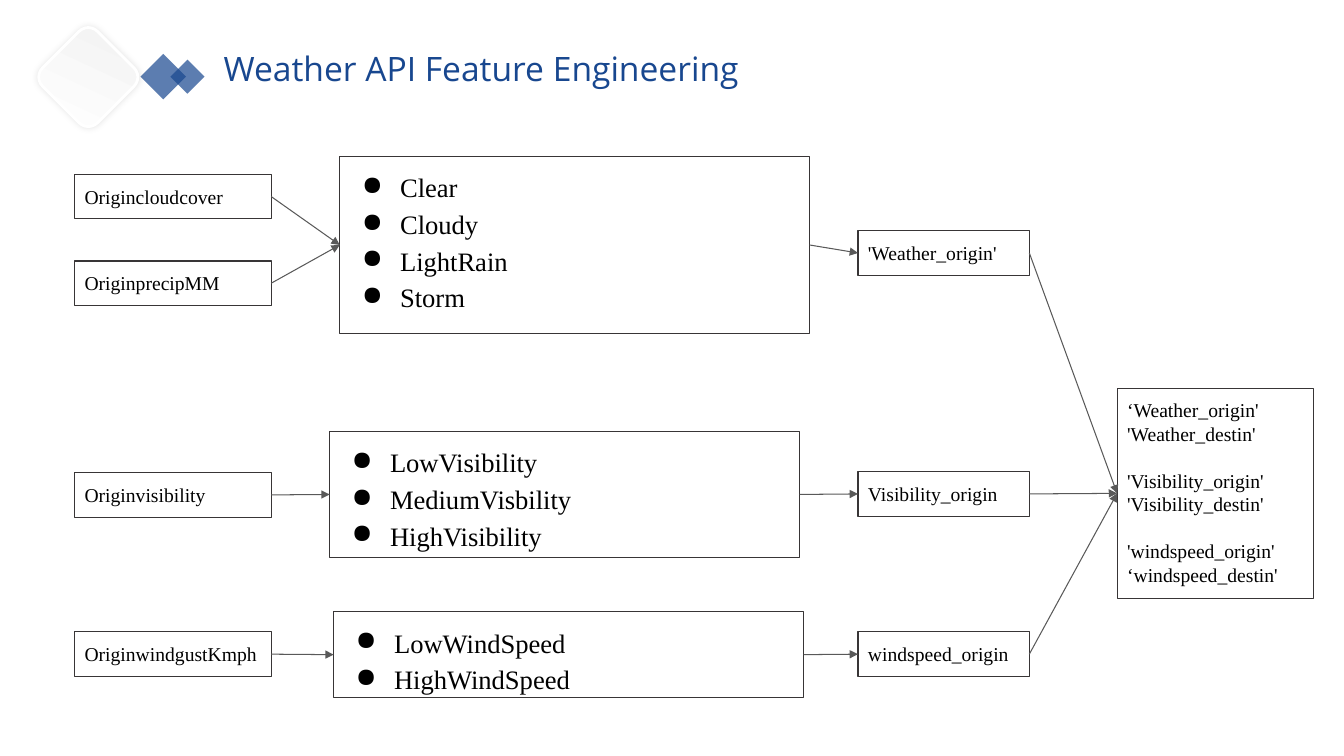
"""Build the weather feature engineering flow slide."""
from dataclasses import dataclass
from typing import Any

import pptx
import pptx.dml.color
import pptx.enum.shapes
import pptx.enum.text
import pptx.oxml
import pptx.oxml.ns
import pptx.util

COLORS = {"blue": "18478F", "box": "383536", "arrow": "595959",
          "text": "000000", "white": "FFFFFF", "grey": "F2F2F2"}
WIDTH, HEIGHT = pptx.util.Inches(13.33), pptx.util.Inches(7.5)
COLS = ROWS = 100
SERIF = "Times New Roman"
SHAPE = pptx.enum.shapes.MSO_SHAPE
INPUT_COL, OUTPUT_COL, FINAL_COL = 5.55, 63.84, 83.12
INPUT_W, CLASS_W, OUTPUT_W = 14.63, 34.96, 12.75
LABEL_H = 5.87


@dataclass(frozen=True)
class Area:
    col: float
    row: float
    cols: float
    rows: float

    def emu(self) -> tuple[int, int, int, int]:
        return (round(WIDTH * self.col / COLS), round(HEIGHT * self.row / ROWS),
                round(WIDTH * self.cols / COLS), round(HEIGHT * self.rows / ROWS))


@dataclass(frozen=True)
class Label:
    text: str
    row: float


@dataclass(frozen=True)
class Flow:
    inputs: tuple[Label, ...]
    classes: tuple[str, ...]
    area: Area
    output: Label


@dataclass(frozen=True)
class Diamond:
    area: Area
    rotation: float


FLOWS = (
    Flow((Label("Origincloudcover", 23.07), Label("OriginprecipMM", 34.53)),
         ("Clear", "Cloudy", "LightRain", "Storm"),
         Area(25.28, 20.67, CLASS_W, 23.47), Label("'Weather_origin'", 30.53)),
    Flow((Label("Originvisibility", 62.53),),
         ("LowVisibility", "MediumVisbility", "HighVisibility"),
         Area(24.53, 57.07, CLASS_W, 16.67), Label("Visibility_origin", 62.4)),
    Flow((Label("OriginwindgustKmph", 83.6),),
         ("LowWindSpeed", "HighWindSpeed"),
         Area(24.83, 80.93, CLASS_W, 11.33), Label("windspeed_origin", 83.6)),
)
FEATURES = ("‘Weather_origin' 'Weather_destin'",
            "'Visibility_origin' 'Visibility_destin'",
            "'windspeed_origin'", "‘windspeed_destin'")
GROUP_STARTS = (1, 2)
DIAMONDS = (Diamond(Area(10.95, 8, 2.4, 4.27), 225),
            Diamond(Area(13.05, 8.53, 1.8, 3.2), 225))
TILE = Diamond(Area(3.68, 5.07, 5.78, 10.27), 45)


def rgb(name: str) -> pptx.dml.color.RGBColor:
    return pptx.dml.color.RGBColor.from_string(COLORS[name])


def add_xml(parent: Any, xml: str) -> None:
    tag, rest = xml[1:].split(" ", 1)
    parent.append(pptx.oxml.parse_xml(f"<{tag} {pptx.oxml.ns.nsdecls('a')} {rest}"))


def write(sp: Any, lines: tuple[str, ...], *, size: float = 14, font: str = SERIF,
          color: str = "text", bullets: bool = False, inset: float = 0.1,
          gaps: tuple[int, ...] = (), grow: bool = False) -> None:
    tf = sp.text_frame
    tf.word_wrap = True
    tf.vertical_anchor = pptx.enum.text.MSO_ANCHOR.TOP
    tf.margin_left = tf.margin_right = pptx.util.Inches(0.1)
    tf.margin_top = tf.margin_bottom = pptx.util.Inches(inset)
    if grow:
        tf.auto_size = pptx.enum.text.MSO_AUTO_SIZE.SHAPE_TO_FIT_TEXT
    for i, line in enumerate(lines):
        p = tf.add_paragraph() if i else tf.paragraphs[0]
        p.alignment = pptx.enum.text.PP_ALIGN.LEFT
        if i in gaps:
            p.space_before = pptx.util.Pt(size * 1.2)
        if bullets:
            p.line_spacing = 1.15
            pPr = p._p.get_or_add_pPr()
            pPr.set("marL", str(pptx.util.Inches(0.5)))
            pPr.set("indent", str(pptx.util.Inches(-0.38)))
            add_xml(pPr, f'<a:buClr ><a:srgbClr val="{COLORS[color]}"/></a:buClr>')
            add_xml(pPr, '<a:buChar char="●"/>')
        r = p.add_run()
        r.text = line
        r.font.name, r.font.size = font, pptx.util.Pt(size)
        r.font.color.rgb = rgb(color)


def add_box(s: Any, area: Area, lines: tuple[str, ...], **style: Any) -> Any:
    sp = s.shapes.add_shape(SHAPE.RECTANGLE, *area.emu())
    sp.shadow.inherit = False
    sp.fill.background()
    sp.line.color.rgb = rgb("box")
    sp.line.width = pptx.util.Pt(0.75)
    write(sp, lines, **style)
    return sp


def add_label(s: Any, label: Label, col: float, cols: float) -> Any:
    return add_box(s, Area(col, label.row, cols, LABEL_H), (label.text,), grow=True)


def add_arrow(s: Any, source: Any, target: Any) -> None:
    cxn = s.shapes.add_connector(pptx.enum.shapes.MSO_CONNECTOR.STRAIGHT, 0, 0, 0, 0)
    cxn.begin_connect(source, 3)
    cxn.end_connect(target, 1)
    cxn.line.color.rgb = rgb("arrow")
    cxn.line.width = pptx.util.Pt(0.75)
    add_xml(cxn.line._get_or_add_ln(), '<a:tailEnd type="triangle"/>')
    add_xml(cxn._element.spPr, "<a:effectLst />")


def add_diamond(s: Any, diamond: Diamond, kind: Any = SHAPE.RECTANGLE) -> Any:
    sp = s.shapes.add_shape(kind, *diamond.area.emu())
    sp.rotation = diamond.rotation
    sp.shadow.inherit = False
    sp.line.fill.background()
    sp.fill.solid()
    sp.fill.fore_color.rgb = rgb("blue")
    return sp


def add_header(s: Any) -> None:
    for diamond in DIAMONDS:
        sp = add_diamond(s, diamond)
        color = sp._element.spPr.find(".//" + pptx.oxml.ns.qn("a:srgbClr"))
        add_xml(color, '<a:alpha val="70000"/>')
    title = s.shapes.add_textbox(*Area(15.9, 5.73, 48, 6.67).emu())
    write(title, ("Weather API Feature Engineering",), size=24, font="Open Sans",
          color="blue", inset=0.05)
    tile = add_diamond(s, TILE, SHAPE.ROUNDED_RECTANGLE)
    tile.fill.gradient()
    tile.fill.gradient_angle = 110
    for stop, name in zip(tile.fill.gradient_stops, ("white", "grey")):
        stop.color.rgb = rgb(name)
    tile.line.color.rgb = rgb("white")
    tile.line.width = pptx.util.Pt(2)
    effects = tile._element.spPr.find(pptx.oxml.ns.qn("a:effectLst"))
    add_xml(effects, f'<a:outerShdw blurRad="{pptx.util.Pt(5)}" dist="0" dir="0">'
            f'<a:srgbClr val="{COLORS["text"]}"><a:alpha val="11000"/></a:srgbClr>'
            '</a:outerShdw>')


def main() -> None:
    prs = pptx.Presentation()
    prs.slide_width, prs.slide_height = WIDTH, HEIGHT
    s = prs.slides.add_slide(prs.slide_layouts[6])
    add_header(s)
    final = add_box(s, Area(FINAL_COL, 51.33, INPUT_W, 27.87), FEATURES,
                    gaps=GROUP_STARTS)
    for flow in FLOWS:
        classes = add_box(s, flow.area, flow.classes, size=19, bullets=True)
        for label in flow.inputs:
            add_arrow(s, add_label(s, label, INPUT_COL, INPUT_W), classes)
        output = add_label(s, flow.output, OUTPUT_COL, OUTPUT_W)
        add_arrow(s, classes, output)
        add_arrow(s, output, final)
    prs.save("out.pptx")


if __name__ == "__main__":
    main()
